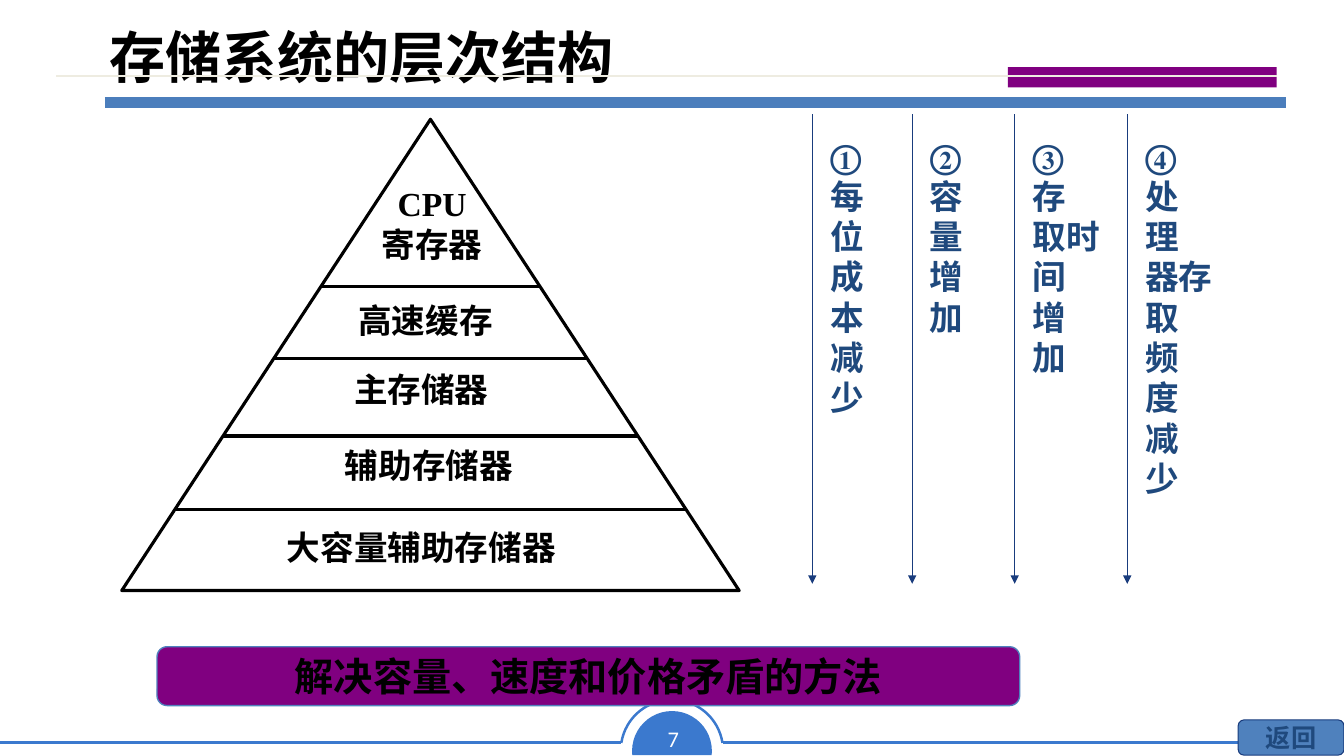
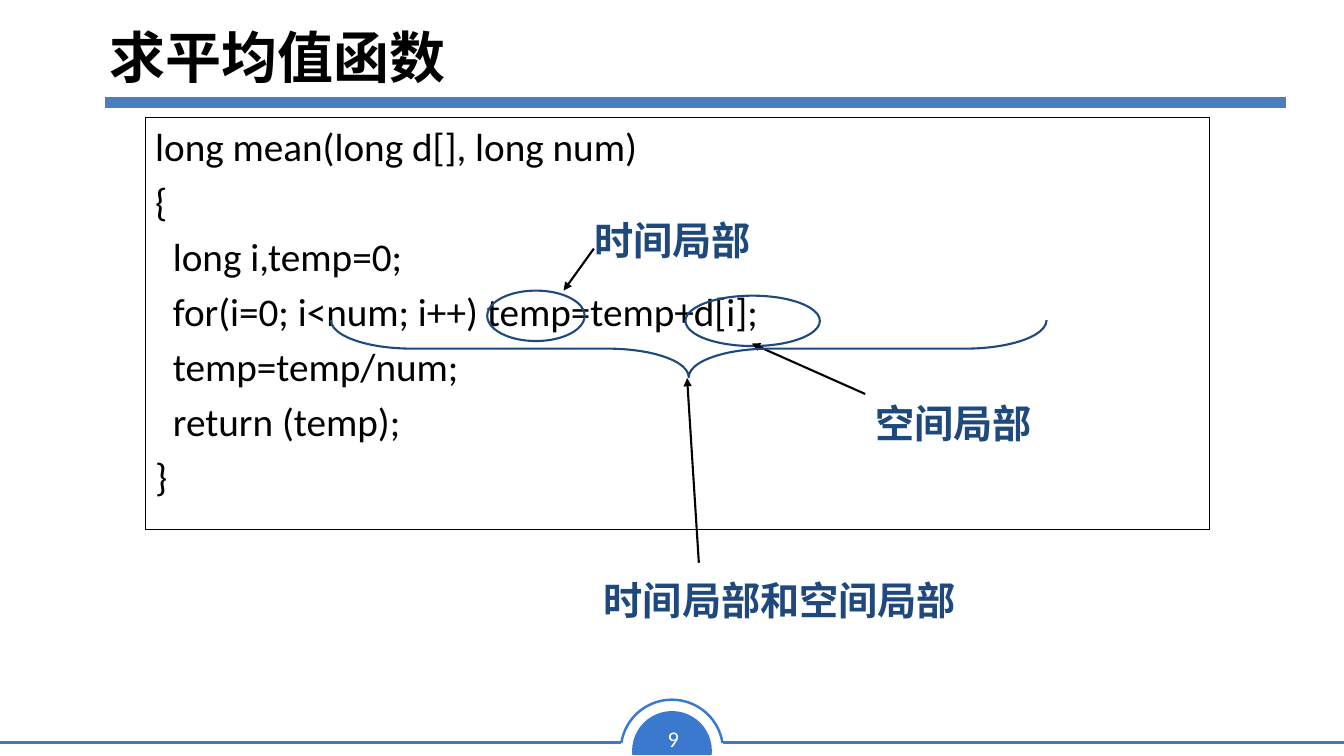
from lxml.etree import SubElement
from pptx import Presentation
from pptx.dml.color import RGBColor
from pptx.enum.shapes import MSO_CONNECTOR as Conn, MSO_SHAPE as Shape
from pptx.enum.text import MSO_ANCHOR as Anchor, PP_ALIGN as Align
from pptx.oxml.ns import qn
from pptx.util import Inches, Pt

COLS, ROWS = 160, 90
CELL = Inches(7.5) / ROWS
SANS, BODY, SERIF = "Noto Sans CJK SC", "Calibri", "Times New Roman"
BLACK, WHITE, NAVY, PURPLE = "000000", "FFFFFF", "1F497D", "800080"
FOOT, RULE, BLUE, EDGE, CREAM = "3B79CE", "4B7EBC", "4F81BD", "193C7D", "EEECE1"


def rgb(value):
    """Turn a hex string into a colour."""
    return RGBColor.from_string(value)


def cells(*values):
    """Turn grid cells into lengths."""
    return [round(v * CELL) for v in values]


def inside(box, x, y, w, h):
    """Place a part at an offset from the corner of its region."""
    return box[0] + x, box[1] + y, w, h


def line(s, x1, y1, x2, y2, color, width, arrow=False):
    """Draw a straight line, with an optional arrowhead at its end."""
    c = s.shapes.add_connector(Conn.STRAIGHT, *cells(x1, y1, x2, y2))
    c.line.color.rgb = rgb(color)
    c.line.width = Pt(width)
    if arrow:
        SubElement(c.line._get_or_add_ln(), qn("a:tailEnd"), type="triangle")
    SubElement(c._element.spPr, qn("a:effectLst"))


def shape(s, kind, box, fill=None, edge=None, width=1, adj=(), rot=0):
    """Draw a preset shape without a shadow."""
    sp = s.shapes.add_shape(kind, *cells(*box))
    sp.shadow.inherit = False
    sp.rotation = rot
    for i, value in enumerate(adj):
        sp.adjustments[i] = value
    if fill:
        sp.fill.solid()
        sp.fill.fore_color.rgb = rgb(fill)
    else:
        sp.fill.background()
    if edge:
        sp.line.color.rgb = rgb(edge)
        sp.line.width = Pt(width)
    else:
        sp.line.fill.background()
    return sp


def write(sp, lines, size, font=BODY, color=BLACK, bold=True, align=Align.LEFT,
          anchor=Anchor.MIDDLE, wrap=False, inset=None, before=0):
    """Fill a shape with equally styled paragraphs."""
    tf = sp.text_frame
    tf.word_wrap = wrap
    tf.vertical_anchor = anchor
    if inset is not None:
        tf.margin_left = tf.margin_right = tf.margin_top = tf.margin_bottom = Inches(inset)
    for i, words in enumerate(lines):
        p = tf.paragraphs[0] if i == 0 else tf.add_paragraph()
        p.add_run().text = words
        p.alignment = align
        if i and before:
            p.space_before = Pt(before)
        p.font.name, p.font.size, p.font.bold = font, Pt(size), bold
        p.font.color.rgb = rgb(color)
        ea = BODY if font == SERIF else font
        SubElement(p._p.pPr.find(qn("a:defRPr")), qn("a:ea"), typeface=ea)


def text(s, box, lines, size, **style):
    """Add a text box."""
    write(s.shapes.add_textbox(*cells(*box)), lines, size, **style)


def footer(s, number):
    """Draw the bottom rule and the page number in its dome."""
    x, y, rule_y = COLS / 2, 89.4, 88.4
    dome, ring = 4.75, 6.1
    shape(s, Shape.CHORD, (x - dome, y - dome, 2 * dome, 2 * dome), FOOT,
          adj=(174 * 0.6, 6 * 0.6))
    for x1, x2 in ((0, x - ring), (x + ring, COLS)):
        line(s, x1, rule_y, x2, rule_y, FOOT, 1.77)
    shape(s, Shape.ARC, (x - ring, y - ring, 2 * ring, 2 * ring), None, FOOT, 1.77,
          adj=(189 * 0.6, 351 * 0.6))
    text(s, (x - 2.6, 85.7, 5.5, 4.4), [str(number)], 16, color=WHITE, bold=False,
         align=Align.CENTER)


def base_slide(prs, title, number):
    """Add a slide with the shared title, rule and footer."""
    s = prs.slides.add_slide(prs.slide_layouts[6])
    s.background.fill.solid()
    s.background.fill.fore_color.rgb = rgb(WHITE)
    footer(s, number)
    line(s, 12.5, 12.2, 153.1, 12.2, RULE, 8)
    text(s, (11.9, 1.2, 136.4, 11), [title], 40, font=SANS, wrap=True)
    return s


def pyramid(s, box, dividers, labels):
    """Draw a triangle cut into labelled tiers."""
    x, y, w, h = box
    mid = x + w / 2
    shape(s, Shape.ISOSCELES_TRIANGLE, box, None, BLACK, 2.25)
    for dy in dividers:
        half = w / 2 * dy / h
        line(s, mid - half, y + dy, mid + half, y + dy, BLACK, 2.25)
    for dy, shift, lines in labels:
        text(s, inside(box, shift, dy, w, 8), lines, 24, font=SERIF, wrap=True,
             align=Align.CENTER, anchor=Anchor.TOP, inset=0.01)


def trends(s, box, columns):
    """Draw downward arrows, each with a column of text at its right."""
    x, y, _, h = box
    for dx, lines in columns:
        text(s, inside(box, dx + 2, 2.4, 8.7, 58), lines, 24, font=SERIF, color=NAVY,
             wrap=True, anchor=Anchor.TOP, inset=0.01)
        line(s, x + dx, y, x + dx, y + h, EDGE, 1, arrow=True)


def callout(s, box, label, label_box, arrow, mark, mark_box, **look):
    """Mark a piece of code and point at it from a label."""
    x, y = box[:2]
    x1, y1, x2, y2 = arrow
    shape(s, mark, inside(box, *mark_box), None, NAVY, 1.5, **look)
    line(s, x + x1, y + y1, x + x2, y + y2, BLACK, 1.5, arrow=True)
    text(s, inside(box, *label_box), [label], 28, font=SANS, color=NAVY)


def hierarchy_slide(prs):
    """Build the memory hierarchy slide."""
    s = base_slide(prs, "存储系统的层次结构", 7)
    pyramid(s, (14.5, 14.2, 73.5, 56.1), (19.9, 28.5, 37.7, 46.5), (
        (7.5, 0.2, ["CPU", "寄存器"]),
        (21.4, -0.6, ["高速缓存"]),
        (29.6, -1.1, ["主存储器"]),
        (38.7, -0.2, ["辅助存储器"]),
        (48.4, -1.1, ["大容量辅助存储器"])))
    trends(s, (96.7, 13.6, 46.2, 55.9), (
        (0, "①每位成本减少"),
        (11.9, "②容量增加"),
        (24.1, ["③", "存", "取时", "间", "增", "加"]),
        (37.5, ["④", "处", "理", "器存", "取", "频", "度", "减", "少"])))
    shape(s, Shape.RECTANGLE, (120, 8, 32, 2.4), PURPLE)
    line(s, 6.7, 9, 152, 9, CREAM, 1.5)
    button = shape(s, Shape.FLOWCHART_ALTERNATE_PROCESS, (147.4, 85.7, 12.6, 4.2),
                   BLUE, EDGE, 0.75)
    write(button, ["返回"], 18, color=NAVY, align=Align.CENTER)
    banner = shape(s, Shape.ROUNDED_RECTANGLE, (18.7, 77, 102.7, 7), PURPLE, BLUE, 1,
                   adj=(0.17,))
    write(banner, ["解决容量、速度和价格矛盾的方法"], 28, align=Align.CENTER)


def code_slide(prs):
    """Build the slide on locality in a mean function."""
    s = base_slide(prs, "求平均值函数", 9)
    box = (17.3, 14, 126.7, 49)
    code = shape(s, Shape.RECTANGLE, box, None, BLACK, 0.75)
    write(code, [
        "long mean(long d[], long num)",
        "{",
        "  long i,temp=0;",
        "  for(i=0; i<num; i++) temp=temp+d[i];",
        "  temp=temp/num;",
        "  return (temp);",
        "}"], 28, bold=False, anchor=Anchor.TOP, wrap=True, before=5.6)
    callout(s, box, "空间局部", (85.7, 32.9, 21.4, 6.8), (85.7, 32.9, 72.2, 26.9),
            Shape.OVAL, (64.3, 21.2, 16, 6))
    callout(s, box, "时间局部", (52.3, 11.2, 21.4, 6.8), (53.4, 15.6, 49.8, 20.6),
            Shape.OVAL, (40.7, 20.6, 11.6, 6))
    callout(s, box, "时间局部和空间局部", (53.4, 54, 44.9, 6.8), (65.9, 53, 64.5, 31),
            Shape.LEFT_BRACE, (61.3, -15.1, 6.8, 85.2), adj=(1.42, 0.5), rot=270)


def main():
    """Build and save the presentation."""
    prs = Presentation()
    prs.slide_width, prs.slide_height = cells(COLS, ROWS)
    hierarchy_slide(prs)
    code_slide(prs)
    prs.save("out.pptx")


if __name__ == "__main__":
    main()
